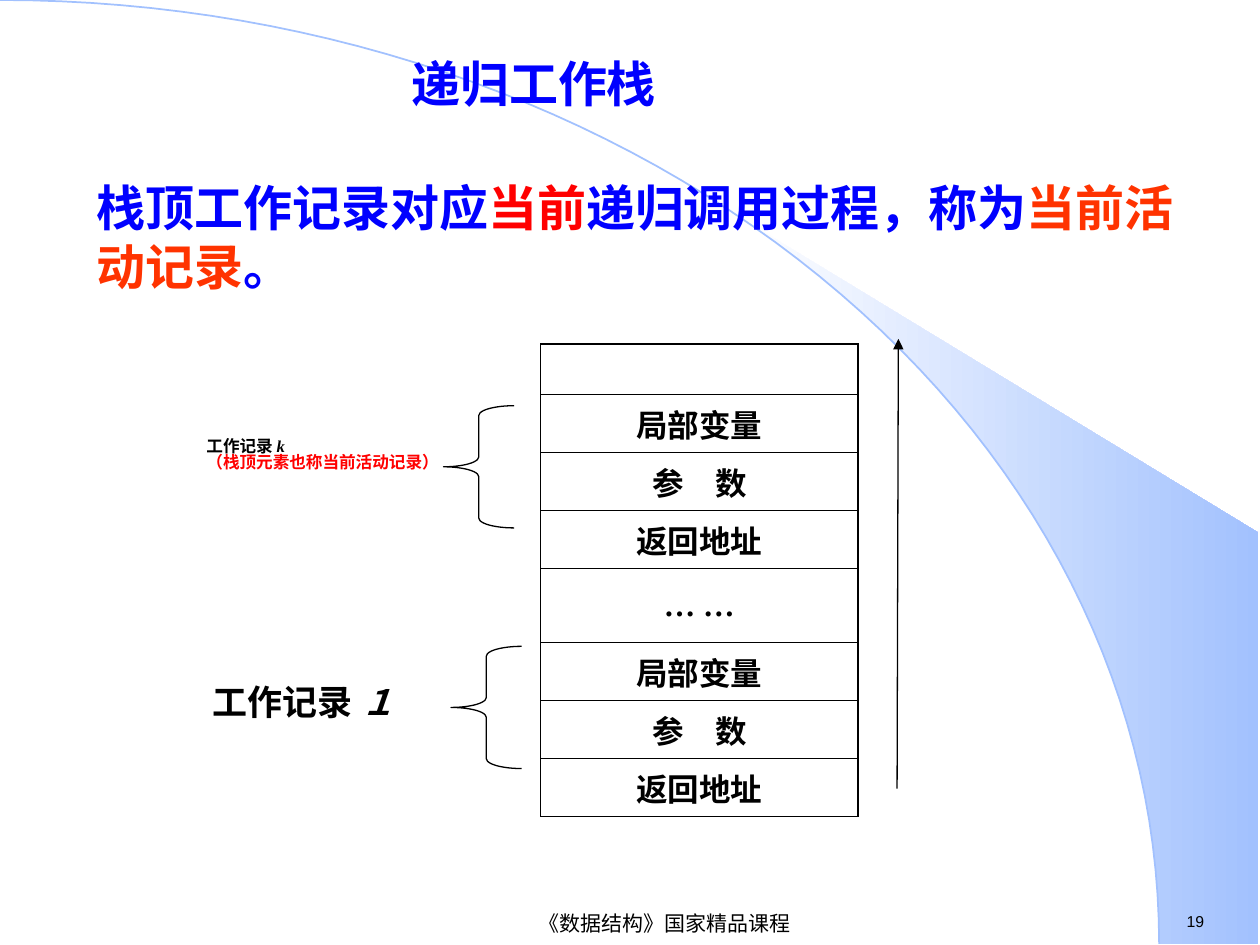
import math
from lxml import etree
from pptx import Presentation
from pptx import util as u
from pptx.dml.color import RGBColor
from pptx.enum import shapes, text
from pptx.oxml import ns

BLACK = RGBColor(0x00, 0x00, 0x00)
WHITE = RGBColor(0xFF, 0xFF, 0xFF)
BLUE = RGBColor(0x00, 0x00, 0xFF)
RED = RGBColor(0xFF, 0x00, 0x00)
ORANGE = RGBColor(0xFF, 0x33, 0x00)
PALE_BLUE = RGBColor(0xA2, 0xC1, 0xFE)
CJK, SERIF, SANS = "Noto Sans CJK SC", "Times New Roman", "Arial"
LEFT, CENTER = text.PP_ALIGN.LEFT, text.PP_ALIGN.CENTER
TOP, MIDDLE = text.MSO_ANCHOR.TOP, text.MSO_ANCHOR.MIDDLE


def write(para, runs, size, font, color=BLACK, bold=True, align=LEFT):
    """Fill a paragraph from (words, own colour or None, italic) runs."""
    para.alignment = align
    para.font.size, para.font.bold, para.font.name = u.Pt(size), bold, font
    para.font.color.rgb = color
    defaults = para._p.pPr.find(ns.qn("a:defRPr"))
    etree.SubElement(defaults, ns.qn("a:ea"), typeface=CJK)
    for words, own_color, italic in runs:
        span = para.add_run()
        span.text = words
        if own_color is not None:
            span.font.color.rgb = own_color
        if italic:
            span.font.italic = True


def add_box(left, top, width, height, anchor=TOP, wrap=True):
    box = slide.shapes.add_textbox(*map(u.Inches, (left, top, width, height)))
    box.text_frame.word_wrap = wrap
    box.text_frame.vertical_anchor = anchor
    return box.text_frame


deck = Presentation()
deck.slide_width, deck.slide_height = u.Inches(10), u.Inches(7.5)
slide = deck.slides.add_slide(deck.slide_layouts[6])

# Background: a quarter ellipse and a gradient wedge resting on it
ARC_WIDTH, ARC_HEIGHT, STEPS = 9.2, 7.49, 60
wedge_start = math.asin(5.89 / ARC_WIDTH)
for start, corners in ((wedge_start, [(9.99, 7.49), (9.99, 4.23)]), (0, [])):
    angles = [start + (math.pi / 2 - start) * i / STEPS for i in range(STEPS + 1)]
    points = [(ARC_WIDTH * math.sin(a), ARC_HEIGHT * (1 - math.cos(a))) for a in angles]
    points = [(u.Inches(x), u.Inches(y)) for x, y in points + corners]
    builder = slide.shapes.build_freeform(*points[0])
    builder.add_line_segments(points[1:], close=bool(corners))
    curve = builder.convert_to_shape()
    curve.shadow.inherit = False
    if corners:
        curve.fill.gradient()
        curve.fill.gradient_angle = 0
        for stop, position, color in zip(curve.fill.gradient_stops, (0, 1), (WHITE, PALE_BLUE)):
            stop.position, stop.color.rgb = position, color
        curve.line.fill.background()
    else:
        curve.fill.background()
        curve.line.color.rgb, curve.line.width = PALE_BLUE, u.Pt(1)

# Footer, title and statement
number = add_box(9.32, 7.19, 0.77, 0.25, wrap=False)
write(number.paragraphs[0], [("19", None, False)], 9, SANS, bold=False)
footer = add_box(2.4, 7.21, 5.75, 0.24, MIDDLE, wrap=False)
write(footer.paragraphs[0], [("《数据结构》国家精品课程", None, False)], 12, SANS, bold=False, align=CENTER)
title = add_box(0.9, 0.28, 6.67, 0.75, MIDDLE)
write(title.paragraphs[0], [("递归工作栈", None, False)], 28, CJK, BLUE, align=CENTER)
statement = add_box(0.67, 1.23, 8.74, 1.3, MIDDLE)
write(statement.paragraphs[0], [
    ("栈顶工作记录对应", None, False),
    ("当前", RED, False),
    ("递归调用过程，称为", None, False),
    ("当前活动记录", ORANGE, False),
    ("。", None, False),
], 28, CJK, BLUE)

# Stack of work records
record = ["局部变量", "参　数", "返回地址"]
cells = ["", *record, "… …", *record]
heights = [0.4, *[0.46] * 3, 0.59, *[0.46] * 3]
frame = slide.shapes.add_table(len(cells), 1, u.Inches(4.29), u.Inches(2.73),
                               u.Inches(2.52), u.Inches(sum(heights)))
stack = frame.table
stack.first_row = stack.horz_banding = False
for row, words, height in zip(stack.rows, cells, heights):
    row.height = u.Inches(height)
    cell = row.cells[0]
    if words == "… …":
        cell.vertical_anchor = MIDDLE
    if words:
        write(cell.text_frame.paragraphs[0], [(words, None, False)], 18, SERIF, align=CENTER)
    properties = cell._tc.get_or_add_tcPr()
    for side in ("lnL", "lnR", "lnT", "lnB"):
        border = etree.SubElement(properties, ns.qn(f"a:{side}"), w=str(u.Pt(0.75)))
        fill = etree.SubElement(border, ns.qn("a:solidFill"))
        etree.SubElement(fill, ns.qn("a:srgbClr"), val=str(BLACK))
    cell.fill.background()

# Braces and record labels
for left, top in ((3.52, 3.22), (3.58, 5.13)):
    brace = slide.shapes.add_shape(shapes.MSO_SHAPE.LEFT_BRACE, u.Inches(left), u.Inches(top),
                                   u.Inches(0.56), u.Inches(0.97))
    brace.adjustments[0] = 0.14
    brace.shadow.inherit = False
    brace.fill.background()
    brace.line.color.rgb, brace.line.width = BLACK, u.Pt(0.75)

top_label = add_box(1.54, 3.44, 2.21, 0.48)
write(top_label.paragraphs[0], [("工作记录 ", None, False), ("k", None, True)], 9.5, SERIF)
write(top_label.add_paragraph(), [("（栈顶元素也称当前活动记录）", None, False)], 9.5, SERIF, RED)
for para in top_label.paragraphs:
    para.line_spacing = 0.8
first_label = add_box(1.59, 5.35, 2.21, 0.48)
write(first_label.paragraphs[0], [("工作记录 ", None, False), ("１", None, True)], 20, SERIF)

# Direction of stack growth
arrow = slide.shapes.add_connector(shapes.MSO_CONNECTOR.STRAIGHT, u.Inches(7.12), u.Inches(6.26),
                                   u.Inches(7.13), u.Inches(2.69))
arrow.line.color.rgb, arrow.line.width = BLACK, u.Pt(0.75)
etree.SubElement(arrow.line._get_or_add_ln(), ns.qn("a:tailEnd"), type="triangle")
etree.SubElement(arrow._element.spPr, ns.qn("a:effectLst"))

deck.save("out.pptx")
